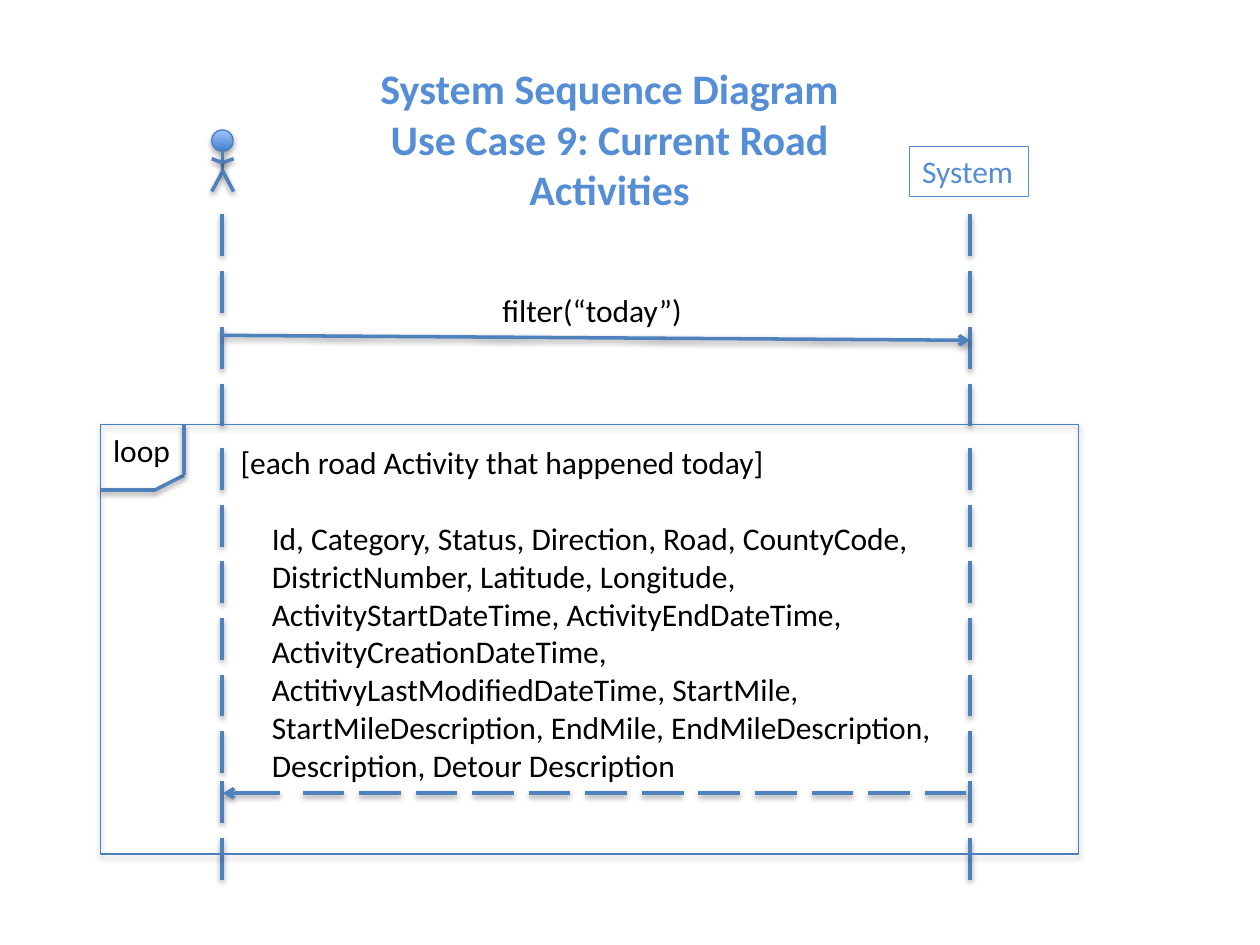
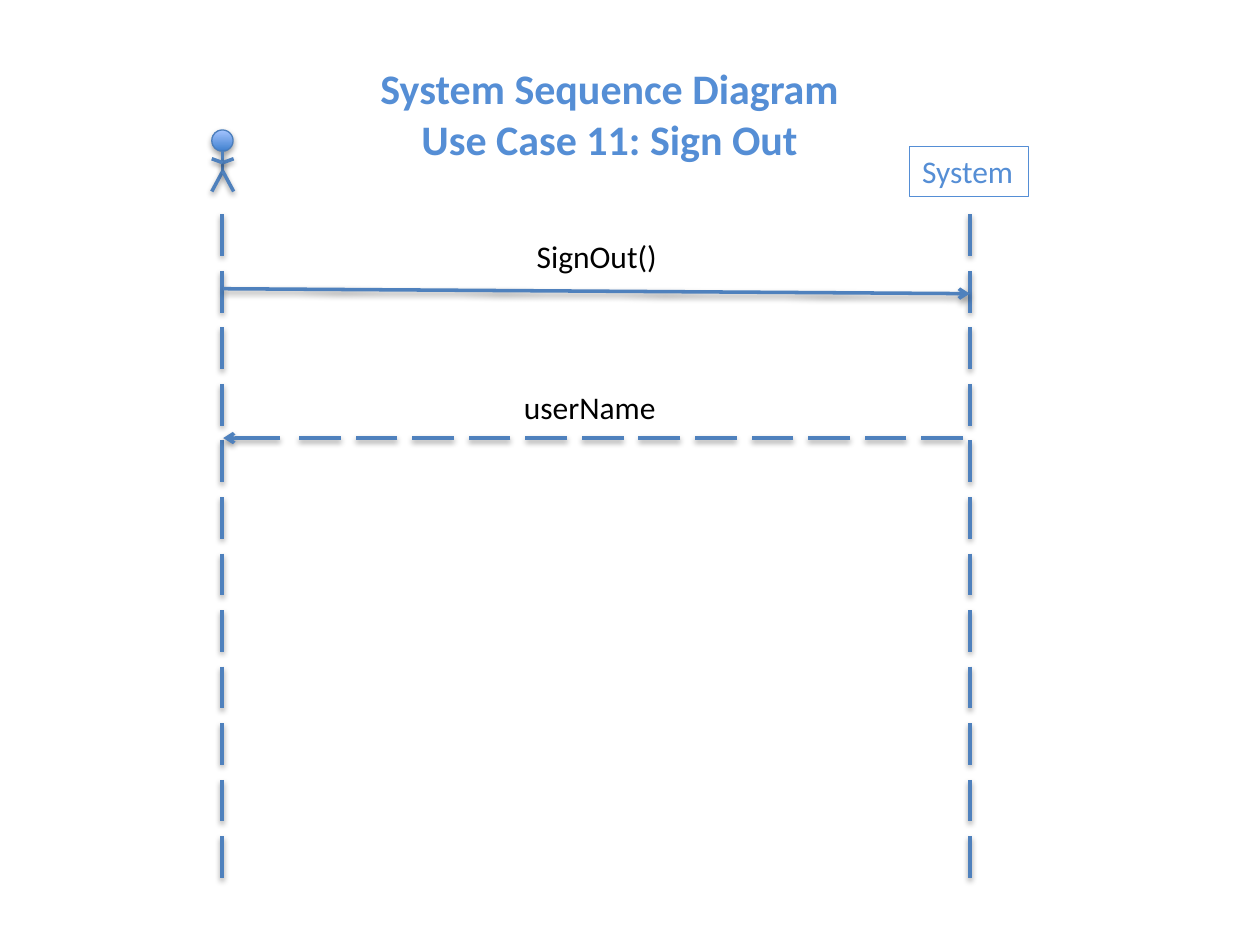
from itertools import pairwise
from pptx import Presentation
from pptx.dml.color import RGBColor
from pptx.enum.shapes import MSO_CONNECTOR as Link, MSO_SHAPE as Kind
from pptx.enum.text import MSO_AUTO_SIZE as Fit, PP_ALIGN as Align
from pptx.oxml import parse_xml
from pptx.oxml.ns import nsdecls
from pptx.util import Cm, Pt

# Colours and font
BLUE = RGBColor(0x55, 0x8E, 0xD5)
LINE = RGBColor(0x4F, 0x81, 0xBD)
EDGE = RGBColor(0x4B, 0x7E, 0xBC)
DARK = RGBColor(0x3F, 0x80, 0xCE)
LIGHT = RGBColor(0xA4, 0xC4, 0xFF)
BLACK = RGBColor(0, 0, 0)
FONT = "Calibri"

# Shared layout, in centimetres
USER, SYSTEM = 4.47, 19.55
DASH, STEP, COUNT = 0.84, 1.14, 12
HEAD = (4.27, 2.62, 0.43, 0.43)
LIMBS = [
    ((4.49, 3.05), (4.49, 3.45)),
    ((4.49, 3.45), (4.27, 3.86)),
    ((4.49, 3.45), (4.71, 3.86)),
    ((4.49, 3.28), (4.71, 3.2)),
    ((4.49, 3.28), (4.27, 3.2)),
]

# Content: labels are (lines, left, top, width, height);
# life holds (top, dashes) for each stretch of the lifelines
SLIDES = [
    dict(
        title=["System Sequence Diagram", "Use Case 9: Current Road Activities"],
        height=3.33,
        life=[(4.32, 4), (9.04, 6), (15.75, 2)],
        call=6.76,
        reply=(19.48, 15.99),
        labels=[
            (["filter(“today”)"], 9.88, 5.74, 4.17, 1.02),
            (["Id, Category, Status, Direction, Road, CountyCode, ",
              "DistrictNumber, Latitude, Longitude, ",
              "ActivityStartDateTime, ActivityEndDateTime,",
              "ActivityCreationDateTime,",
              "ActitivyLastModifiedDateTime, StartMile,",
              "StartMileDescription, EndMile, EndMileDescription,",
              "Description, Detour Description"], 5.23, 10.34, 13.94, 5.64),
            (["loop"], 2.03, 8.56, 1.68, 1.02),
            (["[each road Activity that happened today]"], 4.6, 8.81, 11.2, 1.02),
        ],
        frame=(2.03, 8.56, 19.71, 8.66),
        tab=[(2.03, 9.88), (3.12, 9.88), (3.71, 9.58), (3.71, 8.56)],
    ),
    dict(
        title=["System Sequence Diagram", "Use Case 11: Sign Out"],
        height=2.31,
        life=[(4.32, COUNT)],
        call=5.82,
        reply=(19.41, 8.83),
        labels=[
            (["SignOut()"], 10.57, 4.65, 2.95, 1.02),
            (["userName"], 10.31, 7.7, 3.2, 1.02),
        ],
    ),
]


def shade(part, dist, alpha):
    """Add a soft shadow that falls straight down."""
    part._element.spPr.append(parse_xml(
        f'<a:effectLst {nsdecls("a")}><a:outerShdw blurRad="40000" '
        f'dist="{dist}" dir="5400000" rotWithShape="0"><a:srgbClr val="000000">'
        f'<a:alpha val="{alpha}"/></a:srgbClr></a:outerShdw></a:effectLst>'))


def draw(shapes, start, end, arrow=False):
    link = shapes.add_connector(Link.STRAIGHT, *map(Cm, start + end))
    link.line.color.rgb = LINE
    link.line.width = Pt(2)
    if arrow:
        link.line._get_or_add_ln().append(
            parse_xml(f'<a:tailEnd {nsdecls("a")} type="arrow"/>'))
    shade(link, 20000, 38000)


def outline(shapes, kind, place):
    shape = shapes.add_shape(kind, *map(Cm, place))
    shape.fill.background()
    shape.line.color.rgb = EDGE
    shape.line.width = Pt(0.75)
    shade(shape, 23000, 35000)
    return shape


def write(shapes, lines, place, color=BLACK, size=18, title=False):
    box = shapes.add_textbox(*map(Cm, place))
    frame = box.text_frame
    frame.word_wrap = title
    frame.auto_size = Fit.SHAPE_TO_FIT_TEXT
    for i, line in enumerate(lines):
        para = frame.add_paragraph() if i else frame.paragraphs[0]
        para.alignment = Align.CENTER if title else Align.LEFT
        run = para.add_run()
        run.text = line
        run.font.name = FONT
        run.font.size = Pt(size)
        run.font.bold = title
        run.font.color.rgb = color
    return box


def add_actor(shapes):
    group = shapes.add_group_shape().shapes
    fill = outline(group, Kind.OVAL, HEAD).fill
    fill.gradient()
    fill.gradient_angle = 90
    for stop, color, spot in zip(fill.gradient_stops, (DARK, LIGHT), (0, 1)):
        stop.color.rgb = color
        stop.position = spot
    for limb in LIMBS:
        draw(group, *limb)


def add_reply(shapes, right, y):
    group = shapes.add_group_shape().shapes
    for i in range(COUNT):
        x = right - i * STEP
        draw(group, (x, y), (x - DASH, y))
    draw(shapes, (5.64, y), (4.5, y), arrow=True)


def build(deck, data):
    shapes = deck.slides.add_slide(deck.slide_layouts[6]).shapes
    write(shapes, data["title"], (7.39, 1.14, 9.8, data["height"]),
          BLUE, 24, title=True)

    # Lifelines with the actor and the system on top
    for x in (USER, SYSTEM):
        for top, count in data["life"]:
            for i in range(count):
                y = top + i * STEP
                draw(shapes, (x, y), (x, y + DASH))
    add_actor(shapes)
    box = write(shapes, ["System"], (18.34, 2.95, 2.39, 1.02), BLUE)
    box.line.color.rgb = BLUE
    box.line.width = Pt(0.75)

    # Messages
    add_reply(shapes, *data["reply"])
    y = data["call"]
    draw(shapes, (4.5, y), (SYSTEM, y + 0.1), arrow=True)
    for lines, *place in data["labels"]:
        write(shapes, lines, place)

    # Loop frame with its corner tab
    if "frame" in data:
        outline(shapes, Kind.RECTANGLE, data["frame"])
        for start, end in pairwise(data["tab"]):
            draw(shapes, start, end)


deck = Presentation()
deck.slide_width, deck.slide_height = Cm(25.4), Cm(19.05)
for data in SLIDES:
    build(deck, data)
deck.save("out.pptx")
